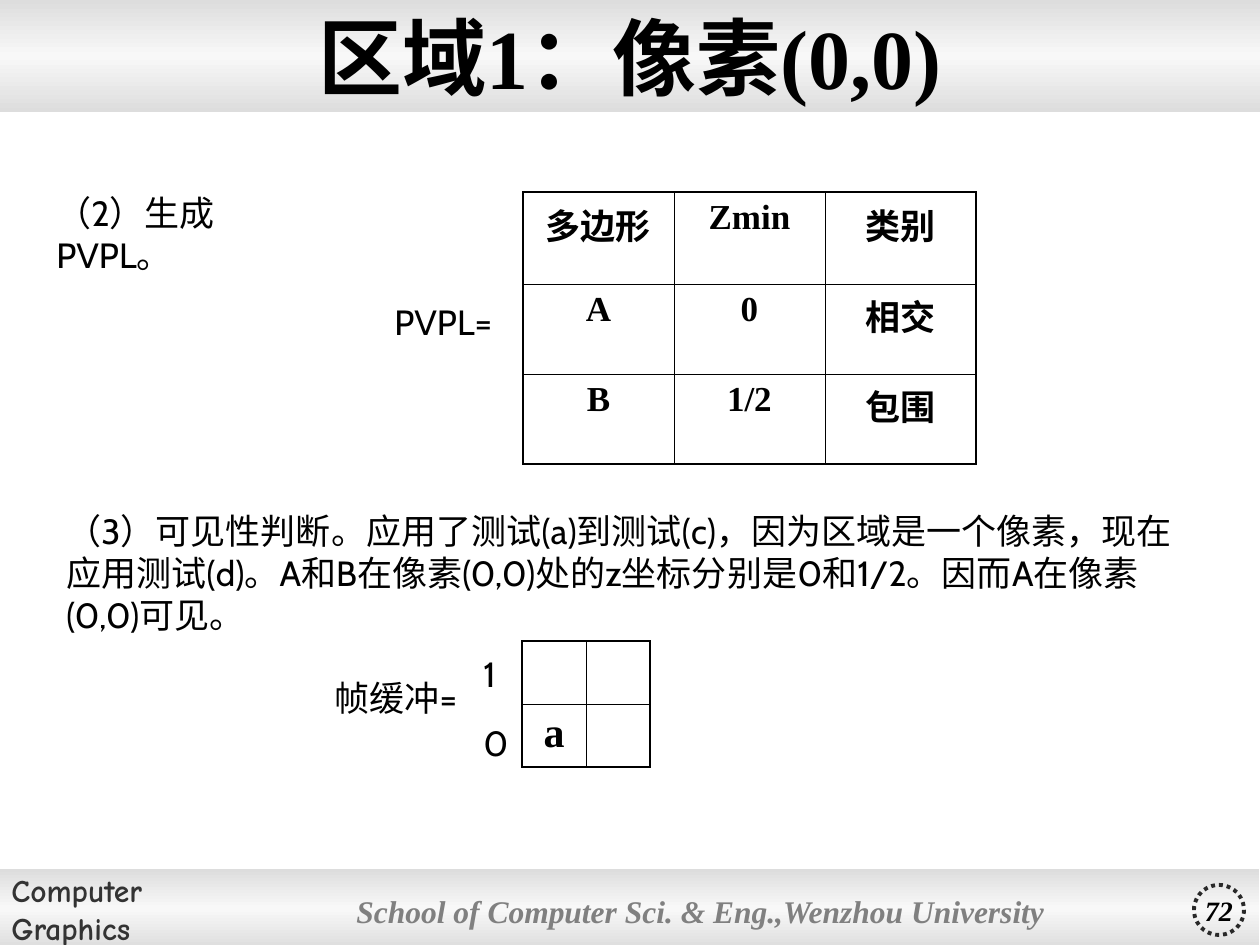
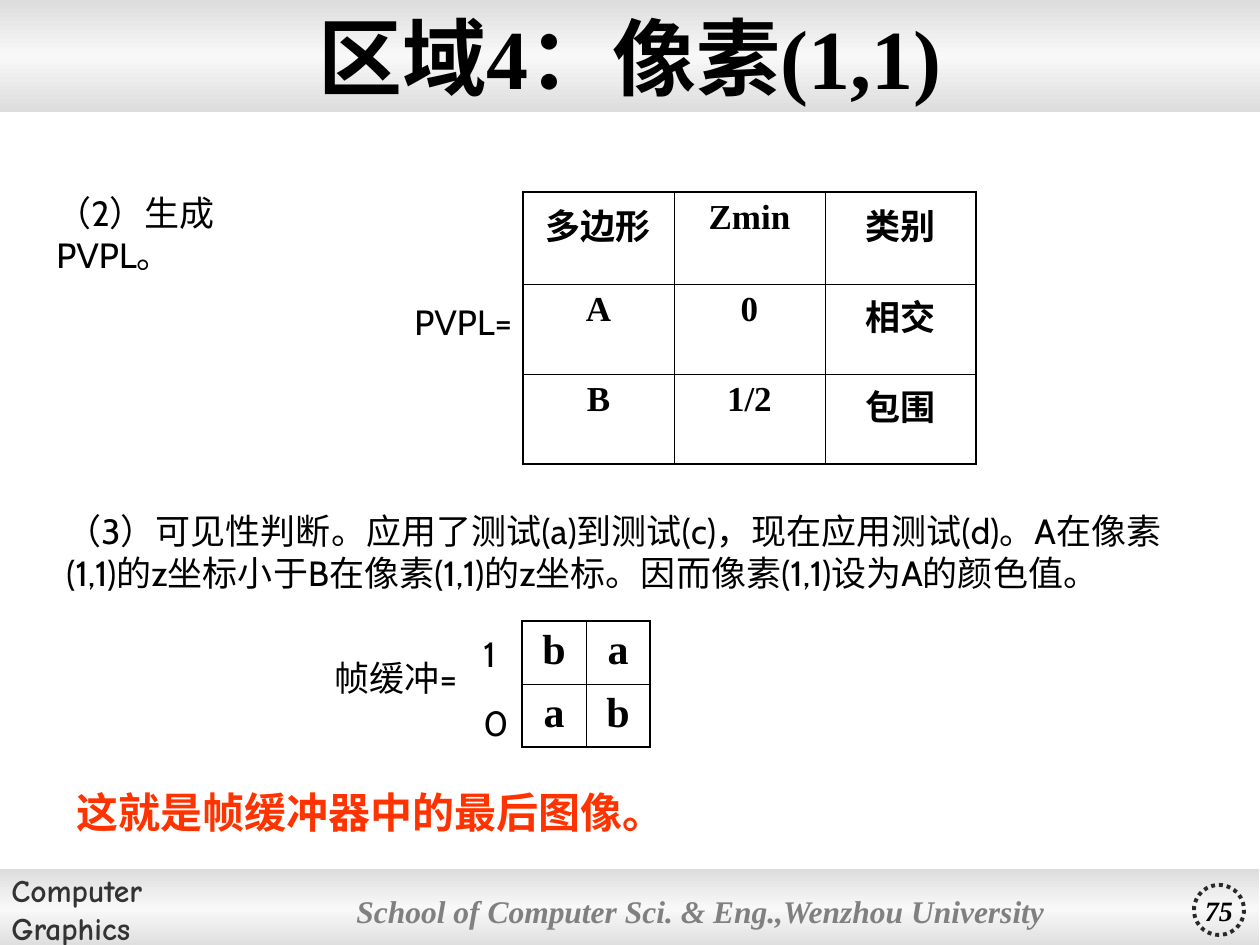
from copy import deepcopy
from dataclasses import dataclass

from lxml import etree
from pptx import Presentation
from pptx.dml.color import RGBColor
from pptx.enum.dml import MSO_LINE
from pptx.enum.shapes import MSO_SHAPE
from pptx.enum.text import MSO_ANCHOR, MSO_AUTO_SIZE, PP_ALIGN
from pptx.oxml.ns import qn
from pptx.util import Emu, Pt

RECTANGLE, ROUNDED, OVAL = MSO_SHAPE.RECTANGLE, MSO_SHAPE.ROUNDED_RECTANGLE, MSO_SHAPE.OVAL
LEFT, CENTER = PP_ALIGN.LEFT, PP_ALIGN.CENTER
MIDDLE = MSO_ANCHOR.MIDDLE
GROW, FIXED = MSO_AUTO_SIZE.SHAPE_TO_FIT_TEXT, MSO_AUTO_SIZE.NONE
DOTTED = MSO_LINE.ROUND_DOT
TITLE_ONLY = 5

PX_PER_INCH = 126
SLIDE_WIDTH, SLIDE_HEIGHT = 1260, 945


@dataclass(frozen=True)
class TextStyle:
    font: str
    size: int
    color: str = "000000"
    bold: bool = False
    italic: bool = False


class Theme:
    band_edge, band_middle = "DDDDDD", "F8F8F8"
    ring, border = "292929", "000000"
    ring_width, outer_border, inner_border = 2.25, 1.08, 0.45
    title = TextStyle("Times New Roman", 48, bold=True)
    body = TextStyle("Cabin", 20)
    conclusion = TextStyle("Cabin", 24, "FF3300", bold=True)
    table = TextStyle("Times New Roman", 20, bold=True)
    pixel = TextStyle("Times New Roman", 24, bold=True)
    course = TextStyle("Comic Neue", 18, "333333", bold=True)
    school = TextStyle("Times New Roman", 18, "808080", bold=True, italic=True)
    number = TextStyle("Times New Roman", 16, bold=True, italic=True)


def px(length):
    return Emu(round(length * 914400 / PX_PER_INCH))


def emu_box(box):
    return [px(length) for length in box]


def write(text_frame, text, style, alignment=LEFT):
    text_frame.text = text
    for paragraph in text_frame.paragraphs:
        paragraph.alignment = alignment
        for run in paragraph.runs:
            font = run.font
            font.name, font.size = style.font, Pt(style.size)
            font.bold, font.italic = style.bold, style.italic
            font.color.rgb = RGBColor.from_string(style.color)


def add_text(slide, box, text, style=Theme.body):
    text_frame = slide.shapes.add_textbox(*emu_box(box)).text_frame
    text_frame.word_wrap = True
    text_frame.auto_size = GROW
    write(text_frame, text, style)


def add_plain_shape(slide, kind, box):
    shape = slide.shapes.add_shape(kind, *emu_box(box))
    shape.shadow.inherit = False
    shape.fill.background()
    shape.line.fill.background()
    return shape


def label_shape(shape, text, style, alignment=LEFT):
    text_frame = shape.text_frame
    text_frame.word_wrap = False
    text_frame.vertical_anchor = MIDDLE
    write(text_frame, text, style, alignment)


def add_band(slide, box):
    """Full-width band, lighter along its middle."""
    band = add_plain_shape(slide, RECTANGLE, box)
    band.fill.gradient()
    band.fill.gradient_angle = 90
    edge, middle = band.fill.gradient_stops
    edge.color.rgb = RGBColor.from_string(Theme.band_edge)
    middle.color.rgb = RGBColor.from_string(Theme.band_middle)
    edge.position, middle.position = 0, 0.5
    stop_list = band._element.spPr.find(".//" + qn("a:gsLst"))
    last_stop = deepcopy(stop_list[0])
    last_stop.set("pos", "100000")
    stop_list.append(last_stop)
    return band


def add_header(slide, box, title):
    left, top, width, height = box
    add_band(slide, box)
    placeholder = slide.shapes.title
    placeholder.left, placeholder.top, placeholder.width, placeholder.height = emu_box(
        (left, top + 6, width, height - 12))
    placeholder.text_frame.auto_size = FIXED
    placeholder.text_frame.vertical_anchor = MIDDLE
    write(placeholder.text_frame, title, Theme.title, CENTER)
    # The title has to lie in front of its band
    slide.shapes._spTree.append(placeholder._element)


def add_footer(slide, box, number):
    left, top, width, height = box
    label_shape(add_band(slide, box), "Computer\nGraphics", Theme.course)

    school = add_plain_shape(slide, ROUNDED, (left + 351, top, 755, height + 4))
    school.adjustments[0] = 0.02
    label_shape(school, "School of Computer Sci. & Eng.,Wenzhou University", Theme.school)
    text_frame = school.text_frame
    text_frame.margin_left = text_frame.margin_right = px(6)
    text_frame.margin_top = text_frame.margin_bottom = px(3)

    ring = add_plain_shape(slide, OVAL, (left + 1195, top + 16, 50, 50))
    ring.line.color.rgb = RGBColor.from_string(Theme.ring)
    ring.line.width = Pt(Theme.ring_width)
    ring.line.dash_style = DOTTED
    label_shape(ring, number, Theme.number, CENTER)


def set_borders(cell, outer_sides):
    """Thick lines on the outer sides of the grid, thin ones inside."""
    properties = cell._tc.get_or_add_tcPr()
    for index, side in enumerate("LRTB"):
        width = Theme.outer_border if side in outer_sides else Theme.inner_border
        line = etree.Element(qn("a:ln" + side), w=str(int(Pt(width))))
        fill = etree.SubElement(line, qn("a:solidFill"))
        etree.SubElement(fill, qn("a:srgbClr"), val=Theme.border)
        properties.insert(index, line)


def add_grid(slide, left, top, column_width, row_heights, rows, style):
    column_count = len(rows[0])
    box = (left, top, column_width * column_count, sum(row_heights))
    table = slide.shapes.add_table(len(rows), column_count, *emu_box(box)).table
    table.first_row = table.horz_banding = False
    for column in table.columns:
        column.width = px(column_width)
    for row_index, texts in enumerate(rows):
        table.rows[row_index].height = px(row_heights[row_index])
        for column_index, text in enumerate(texts):
            cell = table.cell(row_index, column_index)
            cell.fill.background()
            if text:
                write(cell.text_frame, text, style, CENTER)
            edges = {"L": column_index == 0, "R": column_index == column_count - 1,
                     "T": row_index == 0, "B": row_index == len(rows) - 1}
            set_borders(cell, [side for side in edges if edges[side]])


def add_polygon_list(slide, left, top, label_box):
    rows = [("多边形", "Zmin", "类别"), ("A", "0", "相交"), ("B", "1/2", "包围")]
    add_grid(slide, left, top, 151, (92, 90, 90), rows, Theme.table)
    label_left, label_width = label_box
    add_text(slide, (left + label_left, top + 102, label_width, 55), "PVPL=")


def add_frame_buffer(slide, left, top, pixels):
    add_grid(slide, left + 200, top, 64, (63, 63), pixels, Theme.pixel)
    add_text(slide, (left, top + 29, 169, 55), "帧缓冲=")
    for row_index, row_label in enumerate("10"):
        add_text(slide, (left + 149, top + 5 + 69 * row_index, 49, 55), row_label)


def add_region_slide(presentation, region):
    slide = presentation.slides.add_slide(presentation.slide_layouts[TITLE_ONLY])
    add_footer(slide, (-1, 869, SLIDE_WIDTH, 79), region["number"])
    add_header(slide, (0, 0, SLIDE_WIDTH, 112), region["title"])
    add_text(slide, (44, 185, 297, 55), "（2）生成PVPL。")
    add_polygon_list(slide, 523, 192, region["list_label"])
    add_text(slide, (54, 503, 1152, 139), region["visibility"])
    add_frame_buffer(slide, 322, region["buffer_top"], region["pixels"])
    if "conclusion" in region:
        add_text(slide, (64, 780, 645, 63), region["conclusion"], Theme.conclusion)


REGIONS = [
    {
        "title": "区域1：像素(0,0)",
        "number": "72",
        "list_label": (-141, 139),
        "visibility": "（3）可见性判断。应用了测试(a)到测试(c)，因为区域是一个像素，"
                      "现在应用测试(d)。A和B在像素(0,0)处的z坐标分别是0和1/2。"
                      "因而A在像素(0,0)可见。",
        "buffer_top": 641,
        "pixels": [("", ""), ("a", "")],
    },
    {
        "title": "区域4：像素(1,1)",
        "number": "75",
        "list_label": (-121, 171),
        "visibility": "（3）可见性判断。应用了测试(a)到测试(c)，现在应用测试(d)。"
                      "A在像素(1,1)的z坐标小于B在像素(1,1)的z坐标。"
                      "因而像素(1,1)设为A的颜色值。",
        "buffer_top": 621,
        "pixels": [("b", "a"), ("a", "b")],
        "conclusion": "这就是帧缓冲器中的最后图像。",
    },
]


def main():
    presentation = Presentation()
    presentation.slide_width, presentation.slide_height = px(SLIDE_WIDTH), px(SLIDE_HEIGHT)
    for region in REGIONS:
        add_region_slide(presentation, region)
    presentation.save("out.pptx")


if __name__ == "__main__":
    main()
